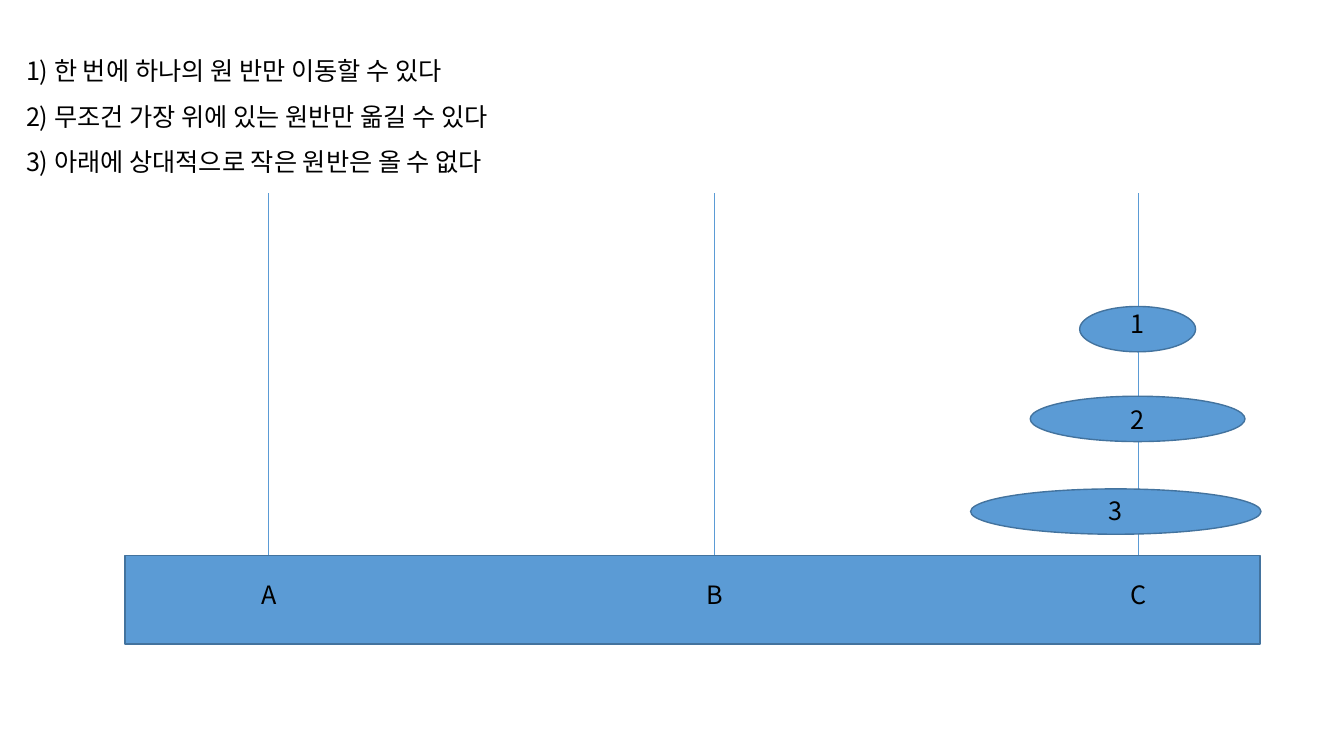
from lxml import etree
from pptx import Presentation
from pptx.dml.color import RGBColor
from pptx.enum.shapes import MSO_CONNECTOR, MSO_SHAPE
from pptx.enum.text import MSO_AUTO_SIZE, PP_ALIGN
from pptx.oxml.ns import qn
from pptx.util import Pt

STRAIGHT = MSO_CONNECTOR.STRAIGHT
RECTANGLE, ELLIPSE = MSO_SHAPE.RECTANGLE, MSO_SHAPE.OVAL
LEFT, CENTER = PP_ALIGN.LEFT, PP_ALIGN.CENTER
FIT_TEXT = MSO_AUTO_SIZE.SHAPE_TO_FIT_TEXT

COLORS = {"fill": "5B9BD5", "edge": "43739E", "text": "000000"}
BLANK_LAYOUT = 6
TEXT_HEIGHT = 28.8
PEG_TOP, BASE_TOP = 138.2, 396.7
DISK_HEIGHT = 32.4

RULES = [
    "1) 한 번에 하나의 원 반만 이동할 수 있다",
    "2) 무조건 가장 위에 있는 원반만 옮길 수 있다",
    "3) 아래에 상대적으로 작은 원반은 올 수 없다",
]
PEGS = {"A": 192, "B": 510.5, "C": 812.9}
# label: center x, disk top, disk width, label top
DISKS = {
    "1": (812.6, 218.9, 82.8, 216.7),
    "2": (812.6, 283, 153.4, 285.1),
    "3": (797, 349.2, 207.4, 350.6),
}


def color(name):
    return RGBColor.from_string(COLORS[name])


class Page:
    """Draws on one slide in one style, with all lengths in points."""

    def __init__(self, slide, font="Noto Sans CJK KR", size=18):
        self.shapes = slide.shapes
        self.font = font
        self.size = size

    def line(self, x1, y1, x2, y2):
        line = self.shapes.add_connector(STRAIGHT, Pt(x1), Pt(y1), Pt(x2), Pt(y2))
        line.line.color.rgb = color("fill")
        line.line.width = Pt(0.5)
        etree.SubElement(line._element.spPr, qn("a:effectLst"))

    def shape(self, kind, left, top, width, height, parent=None):
        shapes = parent or self.shapes
        shape = shapes.add_shape(kind, Pt(left), Pt(top), Pt(width), Pt(height))
        shape.shadow.inherit = False
        shape.fill.solid()
        shape.fill.fore_color.rgb = color("fill")
        shape.line.color.rgb = color("edge")
        shape.line.width = Pt(1)

    def text(self, words, left, top, width, align=LEFT, parent=None):
        shapes = parent or self.shapes
        box = shapes.add_textbox(Pt(left), Pt(top), Pt(width), Pt(TEXT_HEIGHT))
        frame = box.text_frame
        frame.word_wrap = True
        frame.auto_size = FIT_TEXT
        para = frame.paragraphs[0]
        para.alignment = align
        span = para.add_run()
        span.text = words
        span.font.name = self.font
        span.font.size = Pt(self.size)
        span.font.color.rgb = color("text")
        east_asian = etree.SubElement(span.font._element, qn("a:ea"))
        east_asian.set("typeface", self.font)

    def disk(self, label, center, top, width, label_top):
        group = self.shapes.add_group_shape().shapes
        self.shape(ELLIPSE, center - width / 2, top, width, DISK_HEIGHT, group)
        self.text(label, center - 18, label_top, 36, CENTER, group)


def main():
    deck = Presentation()
    deck.slide_width, deck.slide_height = Pt(960), Pt(540)
    page = Page(deck.slides.add_slide(deck.slide_layouts[BLANK_LAYOUT]))

    page.shape(RECTANGLE, 89.3, BASE_TOP, 810.7, 63.4)
    for label, x in PEGS.items():
        page.line(x, PEG_TOP, x, BASE_TOP)
        page.text(label, x - 16, 410.4, 32, CENTER)
    for row, rule in enumerate(RULES):
        page.text(rule, 11.5, 36 + 32.6 * row, 400)
    for label, place in DISKS.items():
        page.disk(label, *place)

    deck.save("out.pptx")


if __name__ == "__main__":
    main()
